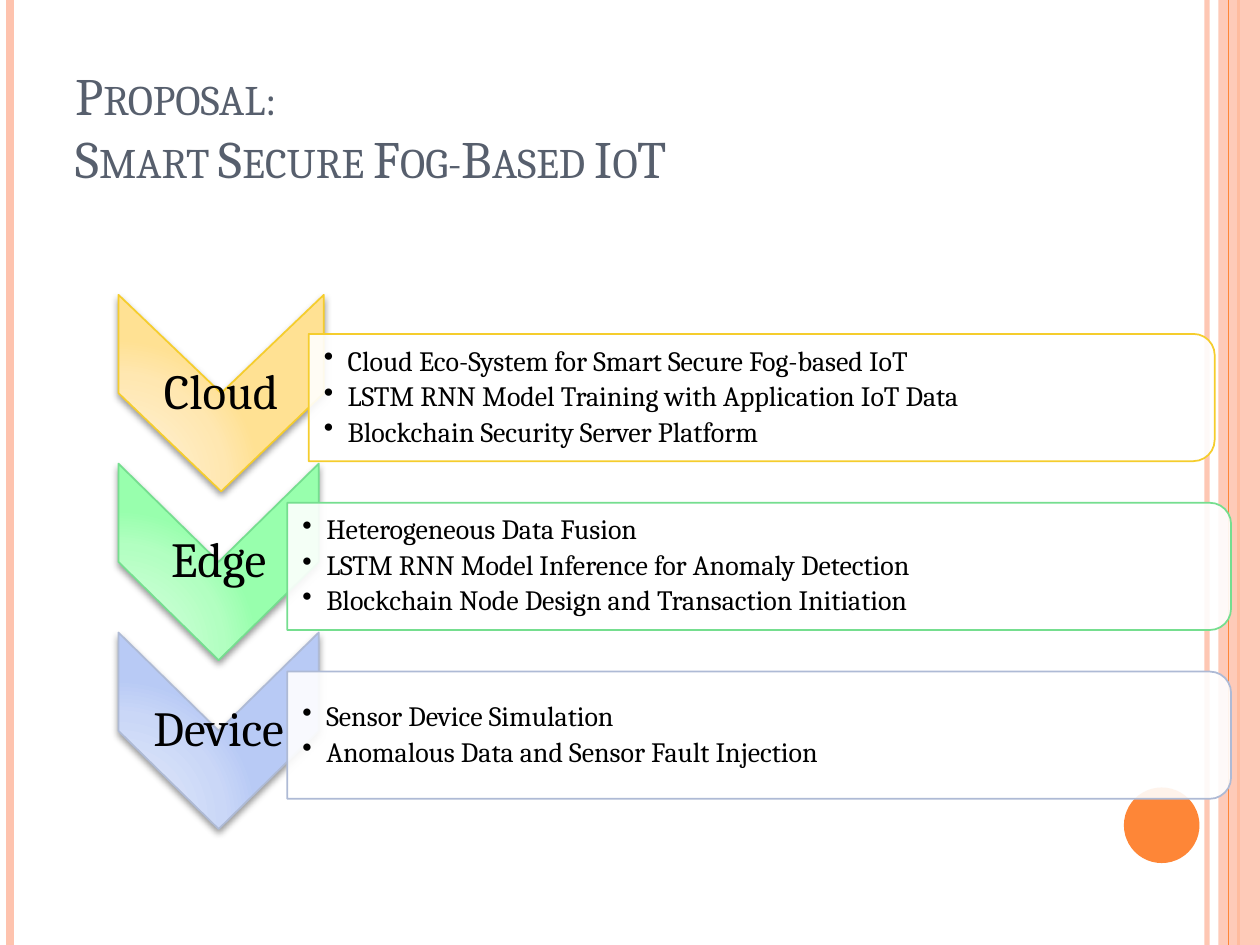
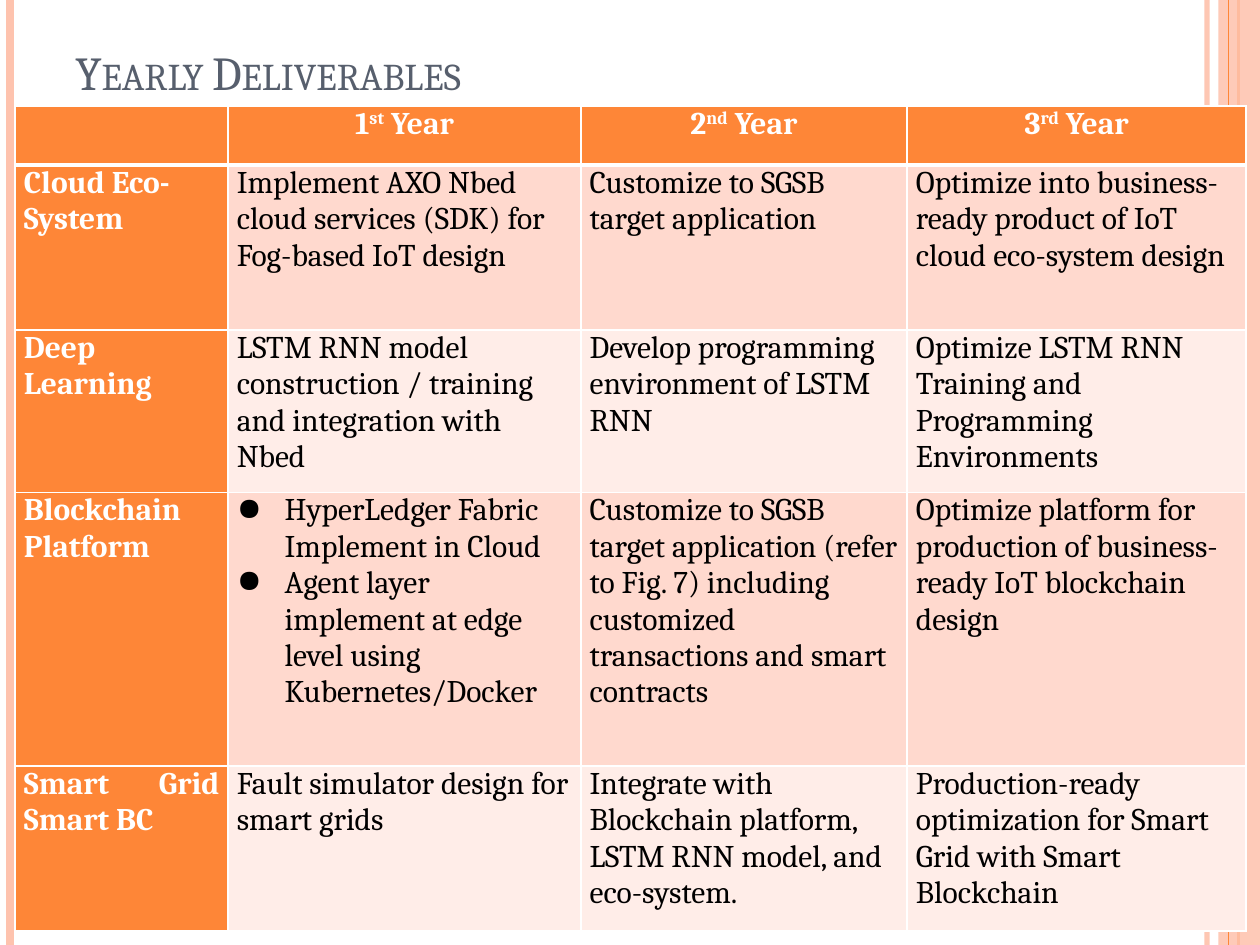
from dataclasses import dataclass

from lxml.etree import SubElement
from pptx import Presentation
from pptx.dml.color import RGBColor
from pptx.enum.shapes import MSO_CONNECTOR, MSO_SHAPE
from pptx.enum.text import MSO_ANCHOR, PP_ALIGN
from pptx.oxml import parse_xml
from pptx.oxml.ns import nsdecls, qn
from pptx.util import Inches, Pt

FONT = "Cambria"
COLORS = {
    "accent": "FE8637",
    "band": "FEC3AE",
    "title": "575F6D",
    "text": "000000",
    "white": "FFFFFF",
    "row_dark": "FFD9CE",
    "row_light": "FFEDE8",
    "cloud": "F5CD2D",
    "edge": "75DE8F",
    "device": "AEBAD5",
}
GRADIENTS = {
    "cloud": ("FFF0D1", "FFEFCC", "FFE7B1", "FFE193"),
    "edge": ("D0FFD9", "CCFFD6", "B2FFC1", "98FFAD"),
    "device": ("DEE6FA", "DBE4F9", "CAD7F7", "B8CAF5"),
}
STOPS = (0, 30, 75, 100)


@dataclass(frozen=True)
class Rule:
    x: float
    color: str
    width: float
    alpha: int = 100


@dataclass(frozen=True)
class Layer:
    name: str
    color: str
    chevron_width: float
    body_left: float
    body_width: float
    points: tuple[str, ...]


@dataclass(frozen=True)
class Deliverable:
    topic: str
    years: tuple[str | tuple[str, ...], ...]
    align: PP_ALIGN = PP_ALIGN.JUSTIFY


RULES_BELOW = (
    Rule(9.58, "band", 3, 93),
    Rule(0.08, "band", 4.5),
    Rule(9.83, "accent", 1.5),
)
RULE_ABOVE = Rule(9.75, "accent", 0.75)

LAYERS = (
    Layer("Cloud", "cloud", 1.63, 2.45, 7.19, (
        "Cloud Eco-System for Smart Secure Fog-based IoT",
        "LSTM RNN Model Training with Application IoT Data",
        "Blockchain Security Server Platform",
    )),
    Layer("Edge", "edge", 1.59, 2.28, 7.49, (
        "Heterogeneous Data Fusion",
        "LSTM RNN Model Inference for Anomaly Detection",
        "Blockchain Node Design and Transaction Initiation",
    )),
    Layer("Device", "device", 1.59, 2.28, 7.49, (
        "Sensor Device Simulation",
        "Anomalous Data and Sensor Fault Injection",
    )),
)
LAYER_LEFT, LAYER_TOP, LAYER_STEP = 0.94, 2.34, 1.34
CHEVRON_HEIGHT, BODY_HEIGHT = 1.56, 1.01

YEARS = (("1", "st"), ("2", "nd"), ("3", "rd"))
DELIVERABLES = (
    Deliverable("Cloud Eco-System", (
        "Implement AXO Nbed cloud services (SDK) for Fog-based IoT design",
        "Customize to SGSB target application",
        "Optimize into business-ready product of IoT cloud eco-system design",
    ), PP_ALIGN.LEFT),
    Deliverable("Deep Learning", (
        "LSTM RNN model construction / training and integration with Nbed",
        "Develop programming environment of LSTM RNN",
        "Optimize LSTM RNN Training and Programming Environments",
    )),
    Deliverable("Blockchain Platform", (
        ("HyperLedger Fabric Implement in Cloud",
         "Agent layer implement at edge level using Kubernetes/Docker"),
        "Customize to SGSB target application (refer to Fig. 7) including "
        "customized transactions and smart contracts",
        "Optimize platform for production of business-ready IoT blockchain design",
    )),
    Deliverable("Smart Grid Smart BC", (
        "Fault simulator design for smart grids",
        "Integrate with Blockchain platform, LSTM RNN model, and eco-system.",
        "Production-ready optimization for Smart Grid with Smart Blockchain",
    )),
)
COLUMN_WIDTHS = (1.69, 2.8, 2.59, 2.69)
ROW_HEIGHTS = (0.47, 1.31, 1.29, 2.17, 1.31)


def rgb(name: str) -> RGBColor:
    return RGBColor.from_string(COLORS[name])


def set_alpha(element, percent: int) -> None:
    if percent < 100:
        color = next(element.iter(qn("a:srgbClr")))
        SubElement(color, qn("a:alpha")).set("val", str(percent * 1000))


def add_run(p, text: str, size: float, color: str = "text", bold: bool = False):
    r = p.add_run()
    r.text = text
    r.font.name = FONT
    r.font.size = Pt(size)
    r.font.bold = bold
    r.font.color.rgb = rgb(color)
    return r


def add_bullet(p, char: str, indent: float) -> None:
    pPr = p._p.get_or_add_pPr()
    pPr.set("marL", str(Inches(indent)))
    pPr.set("indent", str(-Inches(indent)))
    SubElement(pPr, qn("a:buChar")).set("char", char)


def paragraphs(tf, count: int) -> list:
    return [tf.paragraphs[0]] + [tf.add_paragraph() for _ in range(count - 1)]


def add_text_box(s, left: float, top: float, width: float, height: float,
                 anchor: MSO_ANCHOR, insets: tuple[float, float, float, float]):
    tf = s.shapes.add_textbox(
        Inches(left), Inches(top), Inches(width), Inches(height)).text_frame
    tf.word_wrap = True
    tf.vertical_anchor = anchor
    (tf.margin_left, tf.margin_top,
     tf.margin_right, tf.margin_bottom) = map(Inches, insets)
    return tf


def add_plain_shape(s, kind: MSO_SHAPE, left: float, top: float, width: float,
                    height: float, fill: str, alpha: int = 100, line: str = ""):
    sp = s.shapes.add_shape(
        kind, Inches(left), Inches(top), Inches(width), Inches(height))
    sp.shadow.inherit = False
    sp.fill.solid()
    sp.fill.fore_color.rgb = rgb(fill)
    set_alpha(sp._element.spPr, alpha)
    if line:
        sp.line.color.rgb = rgb(line)
        sp.line.width = Pt(1)
    else:
        sp.line.fill.background()
    return sp


def add_turned_shape(s, kind: MSO_SHAPE, left: float, top: float, width: float,
                     height: float, fill: str, alpha: int, line: str):
    shift = (width - height) / 2
    sp = add_plain_shape(s, kind, left + shift, top - shift, height, width,
                         fill, alpha, line)
    sp.rotation = 90
    return sp


def add_rule(s, rule: Rule) -> None:
    line = s.shapes.add_connector(
        MSO_CONNECTOR.STRAIGHT, Inches(rule.x), 0, Inches(rule.x), Inches(7.5))
    line.line.color.rgb = rgb(rule.color)
    line.line.width = Pt(rule.width)
    spPr = line._element.spPr
    set_alpha(spPr, rule.alpha)
    SubElement(spPr, qn("a:effectLst"))


def add_base_slide(prs, title_lines: tuple[str, ...], size: float, height: float):
    s = prs.slides.add_slide(prs.slide_layouts[6])
    for rule in RULES_BELOW:
        add_rule(s, rule)
    add_plain_shape(s, MSO_SHAPE.RECTANGLE, 9.67, 0, 0.33, 7.5, "band", 87)
    add_rule(s, RULE_ABOVE)
    add_plain_shape(s, MSO_SHAPE.OVAL, 8.92, 6.25, 0.6, 0.6, "accent")
    tf = add_text_box(s, 0.5, 0.3, 8.17, height, MSO_ANCHOR.BOTTOM,
                      (0.1, 0.05, 0.1, 0.05))
    p = tf.paragraphs[0]
    for i, text in enumerate(title_lines):
        if i:
            p.add_line_break()
        r = add_run(p, text, size, "title")
        r.font._element.set("cap", "small")
    return s


def apply_glow(sp, colors: tuple[str, ...]) -> None:
    stops = "".join(
        f'<a:gs pos="{pos * 1000}"><a:srgbClr val="{color}"/></a:gs>'
        for pos, color in zip(STOPS, colors))
    gradient = parse_xml(
        f'<a:gradFill {nsdecls("a")} rotWithShape="1"><a:gsLst>{stops}</a:gsLst>'
        '<a:path path="circle"><a:fillToRect l="5000" t="100000" r="120000" '
        'b="10000"/></a:path></a:gradFill>')
    spPr = sp._element.spPr
    spPr.replace(spPr.find(qn("a:solidFill")), gradient)
    spPr.find(qn("a:effectLst")).append(parse_xml(
        f'<a:outerShdw {nsdecls("a")} blurRad="{Pt(4)}" dist="{Pt(2)}" '
        'dir="5400000" rotWithShape="0"><a:srgbClr val="000000">'
        '<a:alpha val="40000"/></a:srgbClr></a:outerShdw>'))


def add_layer(s, layer: Layer, top: float) -> None:
    chevron = add_turned_shape(s, MSO_SHAPE.CHEVRON, LAYER_LEFT, top,
                               layer.chevron_width, CHEVRON_HEIGHT,
                               "white", 100, layer.color)
    apply_glow(chevron, GRADIENTS[layer.color])
    tf = add_text_box(s, LAYER_LEFT, top, layer.chevron_width, CHEVRON_HEIGHT,
                      MSO_ANCHOR.MIDDLE, (0.02,) * 4)
    p = tf.paragraphs[0]
    p.alignment = PP_ALIGN.CENTER
    p.line_spacing = 0.9
    add_run(p, layer.name, 28)

    add_turned_shape(s, MSO_SHAPE.ROUND_2_SAME_RECTANGLE, layer.body_left,
                     top + 0.31, layer.body_width, BODY_HEIGHT,
                     "white", 90, layer.color)
    tf = add_text_box(s, layer.body_left, top + 0.36, layer.body_width - 0.05,
                      BODY_HEIGHT - 0.1, MSO_ANCHOR.MIDDLE,
                      (0.12, 0.01, 0.01, 0.01))
    for p, point in zip(paragraphs(tf, len(layer.points)), layer.points):
        add_bullet(p, "•", 0.19)
        p.line_spacing = 0.9
        p.space_after = Pt(3)
        add_run(p, point, 16)


def style_cell(cell, fill: str, bottom: float = 1, top: float = 1) -> None:
    cell.margin_left = cell.margin_right = Inches(0.07)
    cell.margin_top = cell.margin_bottom = 0
    tcPr = cell._tc.get_or_add_tcPr()
    for side, width in (("L", 1), ("R", 1), ("T", top), ("B", bottom)):
        tcPr.append(parse_xml(
            f'<a:ln{side} {nsdecls("a")} w="{Pt(width)}"><a:solidFill>'
            f'<a:srgbClr val="{COLORS["white"]}"/></a:solidFill></a:ln{side}>'))
    cell.fill.solid()
    cell.fill.fore_color.rgb = rgb(fill)


def add_deliverables(s) -> None:
    table = s.shapes.add_table(
        len(ROW_HEIGHTS), len(COLUMN_WIDTHS), Inches(0.12), Inches(0.84),
        Inches(sum(COLUMN_WIDTHS)), Inches(sum(ROW_HEIGHTS))).table
    for column, width in zip(table.columns, COLUMN_WIDTHS):
        column.width = Inches(width)
    for row, height in zip(table.rows, ROW_HEIGHTS):
        row.height = Inches(height)

    style_cell(table.cell(0, 0), "accent", bottom=3)
    for col, (number, suffix) in enumerate(YEARS, 1):
        cell = table.cell(0, col)
        style_cell(cell, "accent", bottom=3)
        p = cell.text_frame.paragraphs[0]
        p.alignment = PP_ALIGN.CENTER
        add_run(p, number, 18, "white", True)
        r = add_run(p, suffix, 18, "white", True)
        r.font._element.set("baseline", "30000")
        add_run(p, " Year", 18, "white", True)

    for row, item in enumerate(DELIVERABLES, 1):
        top = 3 if row == 1 else 1
        cell = table.cell(row, 0)
        style_cell(cell, "accent", top=top)
        p = cell.text_frame.paragraphs[0]
        p.alignment = item.align
        add_run(p, item.topic, 18, "white", True)
        for col, content in enumerate(item.years, 1):
            cell = table.cell(row, col)
            style_cell(cell, "row_dark" if row % 2 else "row_light", top=top)
            bulleted = isinstance(content, tuple)
            texts = content if bulleted else (content,)
            for p, text in zip(paragraphs(cell.text_frame, len(texts)), texts):
                if bulleted:
                    add_bullet(p, "●", 0.38)
                add_run(p, text, 18)


def main() -> None:
    prs = Presentation()
    prs.slide_width, prs.slide_height = Inches(10), Inches(7.5)
    s = add_base_slide(prs, ("Proposal:", "Smart Secure Fog-Based IoT"), 30, 1.25)
    for i, layer in enumerate(LAYERS):
        add_layer(s, layer, LAYER_TOP + i * LAYER_STEP)
    s = add_base_slide(prs, ("Yearly Deliverables",), 27, 0.54)
    add_deliverables(s)
    prs.save("out.pptx")


if __name__ == "__main__":
    main()
